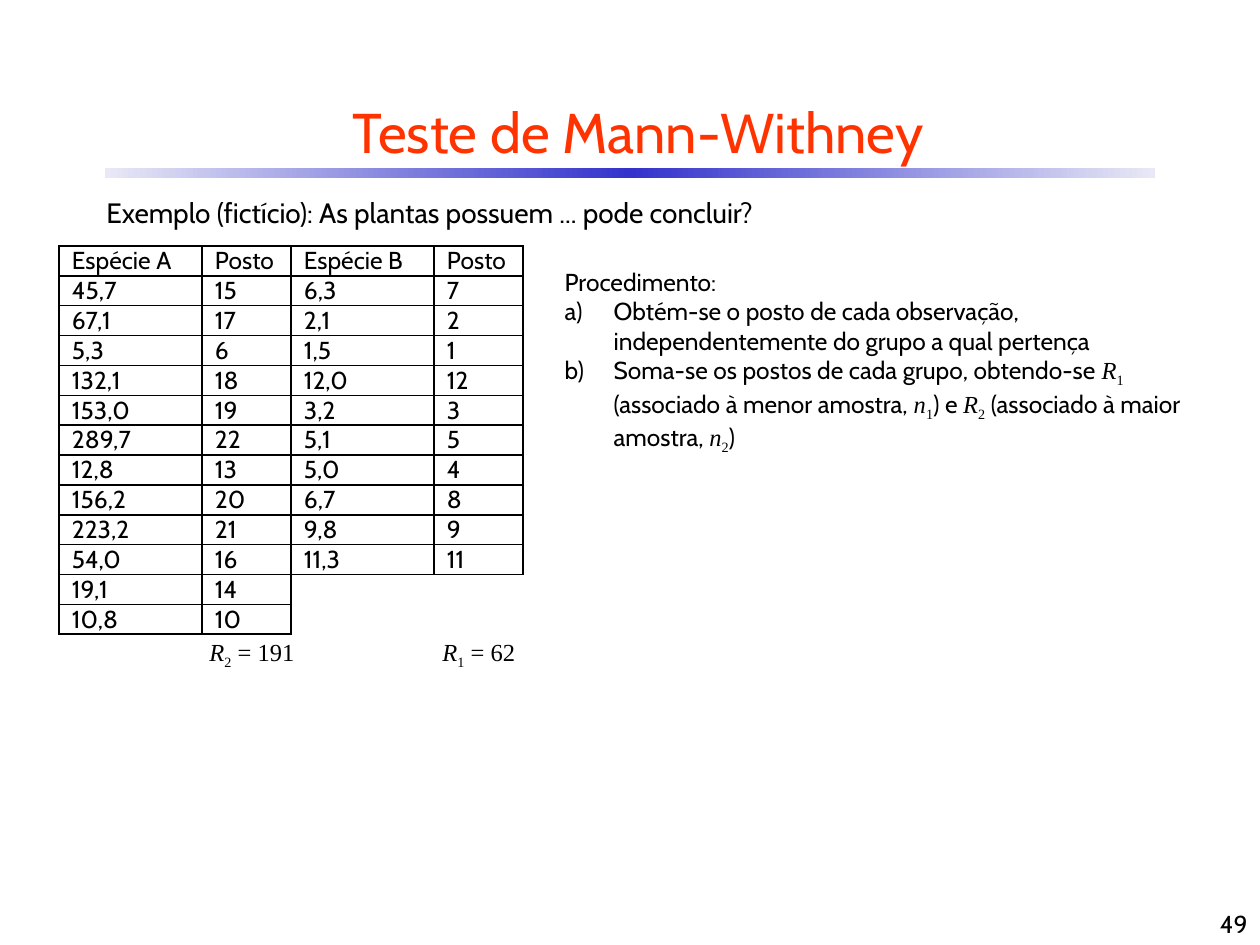
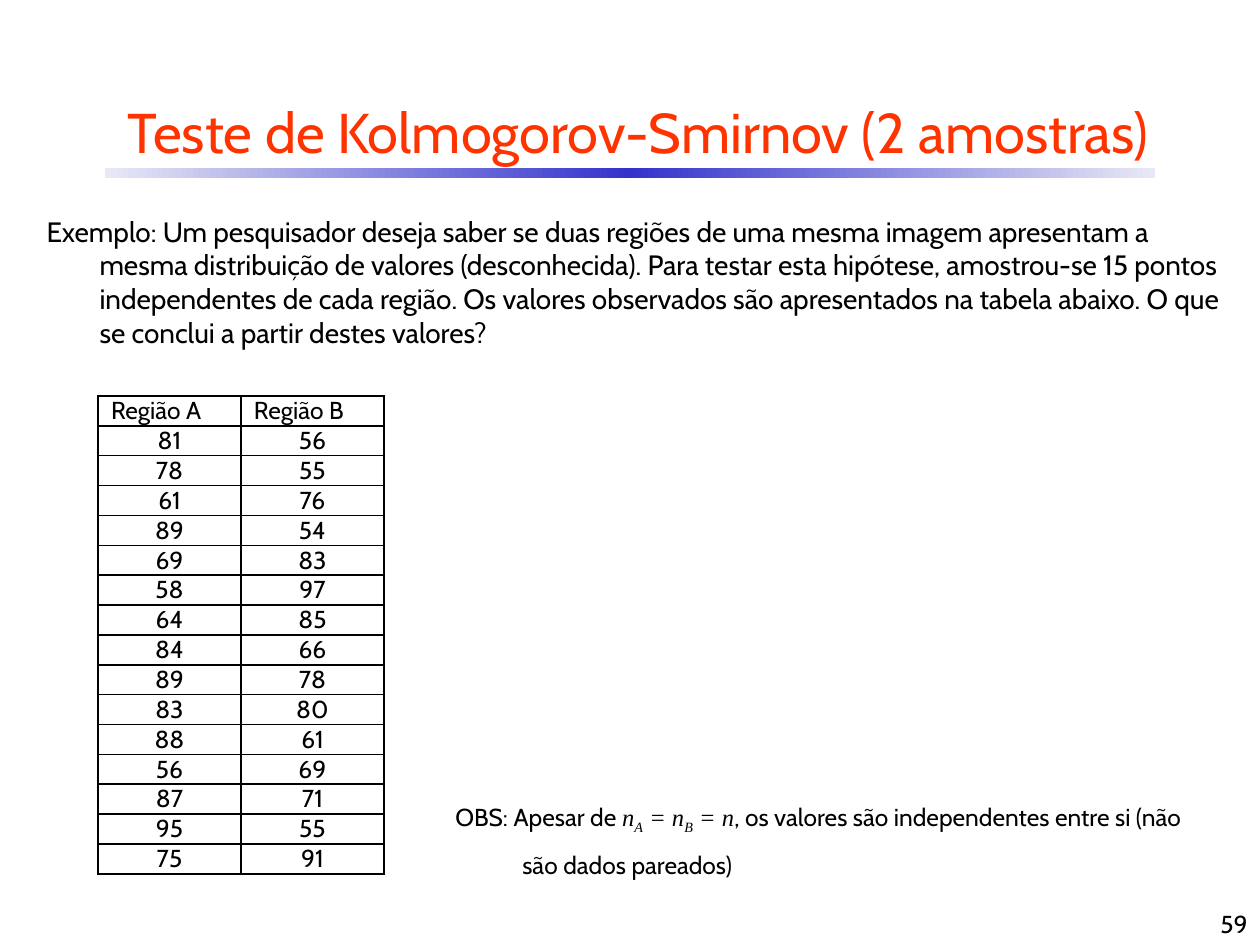
import copy
import dataclasses
import typing

import lxml.etree
import pptx
import pptx.dml.color
import pptx.enum.shapes
import pptx.enum.text
import pptx.oxml.ns
import pptx.shapes.autoshape
import pptx.slide
import pptx.table
import pptx.text.text
import pptx.util

PX_PER_INCH = 126
Align = pptx.enum.text.PP_ALIGN
Anchor = pptx.enum.text.MSO_ANCHOR
qn = pptx.oxml.ns.qn


@dataclasses.dataclass(frozen=True)
class Theme:
    title_color: str = "FF3300"
    ink: str = "000000"
    paper: str = "FFFFFF"
    band_edge: str = "E8E8F6"
    band_center: str = "3333CC"
    text_font: str = "Cabin"
    math_font: str = "Times New Roman"
    title_size: int = 32
    lead_size: int = 16
    text_size: int = 14
    border_points: int = 1


THEME = Theme()


class Box(typing.NamedTuple):
    left: int
    top: int
    width: int
    height: int


class Span(typing.NamedTuple):
    text: str
    math: bool = False
    italic: bool = False
    subscript: bool = False


@dataclasses.dataclass(frozen=True)
class Line:
    spans: tuple[Span, ...]
    hanging: int = 0
    size: int = THEME.text_size
    color: str = THEME.ink
    spacing: float = 1.0
    lettered: bool = False
    align: Align = Align.LEFT


@dataclasses.dataclass(frozen=True)
class Note:
    box: Box
    line: Line
    anchor: Anchor = Anchor.TOP


@dataclasses.dataclass(frozen=True)
class Grid:
    box: Box
    columns: tuple[int, ...]
    rows: tuple[tuple[str, ...], ...]
    centered: bool = False


@dataclasses.dataclass(frozen=True)
class Page:
    title: str
    number: int
    body_box: Box
    body: tuple[Line, ...]
    grid: Grid
    notes: tuple[Note, ...]


BAND_BOX = Box(105, 168, 1050, 10)
TITLE_BOX = Box(42, 84, 1193, 95)
NUMBER_BOX = Box(998, 882, 262, 63)
CELL_INSET = 13


def emu(px: int) -> pptx.util.Emu:
    return pptx.util.Emu(round(px * 914400 / PX_PER_INCH))


def rgb(value: str) -> pptx.dml.color.RGBColor:
    return pptx.dml.color.RGBColor.from_string(value)


def place(box: Box) -> tuple[pptx.util.Emu, ...]:
    return tuple(emu(length) for length in box)


def plain(text: str, **settings) -> Line:
    return Line((Span(text),), **settings)


def symbol(letter: str, index: str, italic_index: bool = False) -> tuple[Span, Span]:
    return (Span(letter, math=True, italic=True),
            Span(index, math=True, italic=italic_index, subscript=True))


def write_line(para: pptx.text.text._Paragraph, line: Line) -> None:
    properties = para._p.get_or_add_pPr()
    properties.set("marL", str(emu(line.hanging)))
    properties.set("indent", str(-emu(line.hanging)))
    if line.lettered:
        lxml.etree.SubElement(properties, qn("a:buAutoNum"), type="alphaLcParenR")
    else:
        lxml.etree.SubElement(properties, qn("a:buNone"))
    para.alignment = line.align
    para.line_spacing = line.spacing
    para.space_before = pptx.util.Pt(0)
    para.font.size = pptx.util.Pt(line.size)
    para.font.color.rgb = rgb(line.color)
    uniform = not any(span.math for span in line.spans)
    if uniform:
        para.font.name = THEME.text_font
    for span in line.spans:
        run = para.add_run()
        run.text = span.text
        if not uniform:
            run.font.name = THEME.math_font if span.math else THEME.text_font
            run.font.italic = span.italic
        if span.subscript:
            run._r.get_or_add_rPr().set("baseline", "-25000")


def write_frame(frame: pptx.text.text.TextFrame, lines: tuple[Line, ...],
                anchor: Anchor = Anchor.TOP) -> None:
    frame.word_wrap = True
    frame.auto_size = pptx.enum.text.MSO_AUTO_SIZE.NONE
    frame.vertical_anchor = anchor
    for position, line in enumerate(lines):
        para = frame.add_paragraph() if position else frame.paragraphs[0]
        write_line(para, line)


def fill_placeholder(holder: pptx.shapes.autoshape.Shape, box: Box,
                     lines: tuple[Line, ...], anchor: Anchor = Anchor.TOP) -> None:
    holder.left, holder.top, holder.width, holder.height = place(box)
    write_frame(holder.text_frame, lines, anchor)


def add_note(slide: pptx.slide.Slide, note: Note) -> None:
    holder = slide.shapes.add_textbox(*place(note.box))
    write_frame(holder.text_frame, (note.line,), note.anchor)


def add_band(slide: pptx.slide.Slide) -> None:
    band = slide.shapes.add_shape(
        pptx.enum.shapes.MSO_SHAPE.RECTANGLE, *place(BAND_BOX))
    band.shadow.inherit = False
    band.line.fill.background()
    band.fill.gradient()
    band.fill.gradient_angle = 0
    stop_list = band.element.find(".//" + qn("a:gsLst"))
    stop_list.append(copy.deepcopy(stop_list[0]))
    colors = (THEME.band_edge, THEME.band_center, THEME.band_edge)
    for stop, position, color in zip(band.fill.gradient_stops, (0, 0.5, 1), colors):
        stop.position = position
        stop.color.rgb = rgb(color)
    slide.shapes.title.element.addprevious(band.element)


def set_borders(cell: pptx.table._Cell, drawn: dict[str, bool]) -> None:
    properties = cell._tc.get_or_add_tcPr()
    for side, visible in drawn.items():
        edge = lxml.etree.SubElement(
            properties, qn(f"a:ln{side}"), w=str(pptx.util.Pt(THEME.border_points)))
        if visible:
            fill = lxml.etree.SubElement(edge, qn("a:solidFill"))
            lxml.etree.SubElement(fill, qn("a:srgbClr"), val=THEME.ink)
        else:
            lxml.etree.SubElement(edge, qn("a:noFill"))


def add_grid(slide: pptx.slide.Slide, grid: Grid) -> None:
    table = slide.shapes.add_table(
        len(grid.rows), len(grid.columns), *place(grid.box)).table
    table.first_row = table.horz_banding = False
    for column, width in zip(table.columns, grid.columns):
        column.width = emu(width)
    for row_index, texts in enumerate(grid.rows):
        table.rows[row_index].height = emu(grid.box.height) // len(grid.rows)
        centered = grid.centered and row_index > 0
        for column_index, text in enumerate(texts):
            cell = table.cell(row_index, column_index)
            filled = bool(text)
            left = column_index > 0 and bool(texts[column_index - 1])
            above = row_index > 0 and bool(grid.rows[row_index - 1][column_index])
            set_borders(cell, {"L": filled or left, "R": filled,
                               "T": filled or above, "B": filled})
            cell.fill.solid()
            cell.fill.fore_color.rgb = rgb(THEME.paper)
            cell.margin_left = cell.margin_right = emu(0 if centered else CELL_INSET)
            cell.margin_top = cell.margin_bottom = 0
            cell.vertical_anchor = Anchor.BOTTOM if centered else Anchor.MIDDLE
            para = cell.text_frame.paragraphs[0]
            if filled:
                write_line(para, plain(
                    text, align=Align.CENTER if centered else Align.LEFT))
            else:
                lxml.etree.SubElement(
                    para._p, qn("a:endParaRPr"), sz=str(THEME.text_size * 100))


def add_page(deck: pptx.presentation.Presentation, page: Page) -> None:
    slide = deck.slides.add_slide(deck.slide_layouts[1])
    add_band(slide)
    title = plain(page.title, size=THEME.title_size, color=THEME.title_color,
                  align=Align.CENTER)
    fill_placeholder(slide.shapes.title, TITLE_BOX, (title,), Anchor.MIDDLE)
    fill_placeholder(slide.placeholders[1], page.body_box, page.body)
    add_grid(slide, page.grid)
    number = Note(NUMBER_BOX, plain(str(page.number), align=Align.RIGHT), Anchor.BOTTOM)
    for note in (*page.notes, number):
        add_note(slide, note)


SPECIES_ROWS = (
    ("Espécie A", "Posto", "Espécie B", "Posto"),
    ("45,7", "15", "6,3", "7"),
    ("67,1", "17", "2,1", "2"),
    ("5,3", "6", "1,5", "1"),
    ("132,1", "18", "12,0", "12"),
    ("153,0", "19", "3,2", "3"),
    ("289,7", "22", "5,1", "5"),
    ("12,8", "13", "5,0", "4"),
    ("156,2", "20", "6,7", "8"),
    ("223,2", "21", "9,8", "9"),
    ("54,0", "16", "11,3", "11"),
    ("19,1", "14", "", ""),
    ("10,8", "10", "", ""),
)
REGION_A = (81, 78, 61, 89, 69, 58, 64, 84, 89, 83, 88, 56, 87, 95, 75)
REGION_B = (56, 55, 76, 54, 83, 97, 85, 66, 78, 80, 61, 69, 71, 55, 91)
REGION_ROWS = (("Região A", "Região B"),
               *((str(a), str(b)) for a, b in zip(REGION_A, REGION_B)))

RANK_SUM_STEP = Line(
    (Span("Soma-se os postos de cada grupo, obtendo-se "), *symbol("R", "1"),
     Span(" (associado à menor amostra, "), *symbol("n", "1"),
     Span(") e "), *symbol("R", "2"),
     Span(" (associado à maior amostra, "), *symbol("n", "2"), Span(")")),
    hanging=49, lettered=True)


def rank_sum(box: Box, index: str, total: int) -> Note:
    spans = (*symbol("R", index), Span(f" = {total}", math=True))
    return Note(box, Line(spans, hanging=49))


MANN_WHITNEY = Page(
    title="Teste de Mann-Withney",
    number=49,
    body_box=Box(552, 246, 669, 205),
    body=(
        plain("Procedimento:", hanging=49, spacing=1.5),
        plain("Obtém-se o posto de cada observação, independentemente do grupo "
              "a qual pertença", hanging=49, lettered=True),
        RANK_SUM_STEP,
    ),
    grid=Grid(Box(59, 246, 464, 382), (143, 89, 143, 89), SPECIES_ROWS),
    notes=(
        Note(Box(94, 189, 1096, 47),
             plain("Exemplo (fictício): As plantas possuem ... pode concluir?",
                   hanging=26, size=THEME.lead_size)),
        rank_sum(Box(197, 631, 118, 43), "2", 191),
        rank_sum(Box(430, 631, 111, 43), "1", 62),
    ),
)

INDEPENDENCE = Line(
    (Span("OBS: Apesar de "), *symbol("n", "A", italic_index=True),
     *symbol(" = n", "B", italic_index=True), Span(" = n", math=True, italic=True),
     Span(", os valores são independentes entre si (não são dados pareados)")),
    hanging=67, spacing=1.5)

KOLMOGOROV_SMIRNOV = Page(
    title="Teste de Kolmogorov-Smirnov (2 amostras)",
    number=59,
    body_box=Box(34, 208, 1206, 149),
    body=(
        plain("Exemplo: Um pesquisador deseja saber se duas regiões de uma mesma "
              "imagem apresentam a mesma distribuição de valores (desconhecida). "
              "Para testar esta hipótese, amostrou-se 15 pontos independentes de "
              "cada região. Os valores observados são apresentados na tabela "
              "abaixo. O que se conclui a partir destes valores?",
              hanging=53, size=THEME.lead_size),
    ),
    grid=Grid(Box(98, 396, 286, 470), (143, 143), REGION_ROWS, centered=True),
    notes=(Note(Box(443, 779, 759, 97), INDEPENDENCE),),
)


def main() -> None:
    deck = pptx.Presentation()
    deck.slide_width, deck.slide_height = emu(1260), emu(945)
    for page in (MANN_WHITNEY, KOLMOGOROV_SMIRNOV):
        add_page(deck, page)
    deck.save("out.pptx")


if __name__ == "__main__":
    main()
